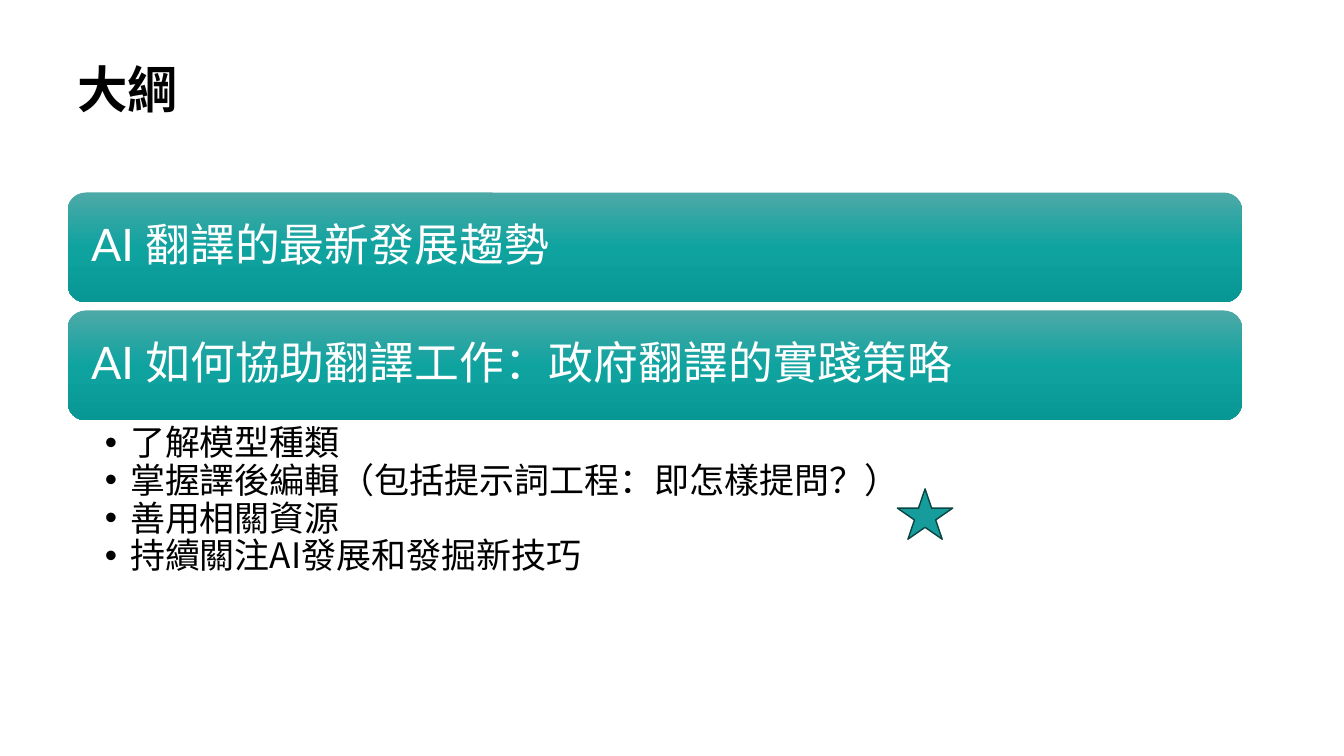
from copy import deepcopy

from lxml import etree
from pptx import Presentation
from pptx.dml.color import RGBColor
from pptx.enum.shapes import MSO_SHAPE
from pptx.enum.text import MSO_ANCHOR, PP_ALIGN
from pptx.oxml.ns import qn
from pptx.util import Inches, Pt

ROUNDED, STAR = MSO_SHAPE.ROUNDED_RECTANGLE, MSO_SHAPE.STAR_5_POINT
MIDDLE, LEFT = MSO_ANCHOR.MIDDLE, PP_ALIGN.LEFT
CJK_FONT, LATIN_FONT = "Noto Sans CJK TC", "Lato"
BAR_GRADIENT = [(0, "4DA9A7"), (0.5, "0FA3A0"), (1, "089794")]

MARGIN, CONTENT_WIDTH = Inches(0.67), Inches(11.65)
BAR_TOP, BAR_HEIGHT, BAR_PITCH = Inches(1.91), Inches(1.09), Inches(1.17)
HANGING = Inches(0.25)

SECTIONS = ["AI 翻譯的最新發展趨勢", "AI 如何協助翻譯工作：政府翻譯的實踐策略"]
STRATEGIES = [
    "了解模型種類",
    "掌握譯後編輯（包括提示詞工程：即怎樣提問？）",
    "善用相關資源",
    "持續關注AI發展和發掘新技巧",
]


def rgb(value):
    return RGBColor.from_string(value)


def style(paragraph, size, color, latin=CJK_FONT, bold=False):
    """Format every run, with the CJK font for East Asian text."""
    paragraph.alignment = LEFT
    paragraph.line_spacing = 0.9
    for run in paragraph.runs:
        run.font.size = Pt(size)
        run.font.bold = bold
        run.font.color.rgb = rgb(color)
        run.font.name = latin
        east_asian = etree.SubElement(run.font._element, qn("a:ea"))
        east_asian.set("typeface", CJK_FONT)


prs = Presentation()
prs.slide_width, prs.slide_height = Inches(13.33), Inches(7.5)
slide = prs.slides.add_slide(prs.slide_layouts[6])
shapes = slide.shapes

# Heading
heading = shapes.add_textbox(MARGIN, Inches(0.6), CONTENT_WIDTH, Inches(1.24)).text_frame
heading.word_wrap = True
heading.text = "大綱"
style(heading.paragraphs[0], 36, "000000", bold=True)

# Section bars
for row, section in enumerate(SECTIONS):
    bar = shapes.add_shape(ROUNDED, MARGIN, BAR_TOP + row * BAR_PITCH, CONTENT_WIDTH, BAR_HEIGHT)
    bar.shadow.inherit = False
    bar.line.fill.background()
    bar.fill.gradient()
    bar.fill.gradient_angle = 270
    first_stop = bar.fill.gradient_stops[0]._gs
    first_stop.addnext(deepcopy(first_stop))
    for stop, (position, color) in zip(bar.fill.gradient_stops, BAR_GRADIENT):
        stop.position = position
        stop.color.rgb = rgb(color)
    label = bar.text_frame
    label.word_wrap = True
    label.vertical_anchor = MIDDLE
    label.margin_left = label.margin_right = Inches(0.18)
    label.text = section
    style(label.paragraphs[0], 32, "FFFFFF", latin=LATIN_FONT)

# Strategies under the second section
strategies = shapes.add_textbox(MARGIN, Inches(4.18), CONTENT_WIDTH, Inches(2.68)).text_frame
strategies.word_wrap = True
strategies.margin_left, strategies.margin_right = Inches(0.37), Inches(0.25)
strategies.margin_top = strategies.margin_bottom = Inches(0.04)
strategies.text = "\n".join(STRATEGIES)
for item in strategies.paragraphs:
    properties = item._p.get_or_add_pPr()
    properties.set("marL", str(HANGING))
    properties.set("indent", str(-HANGING))
    etree.SubElement(properties, qn("a:buFont")).set("typeface", "Arial")
    etree.SubElement(properties, qn("a:buChar")).set("char", "•")
    style(item, 25, "000000")

# Star beside the key strategy
star = shapes.add_shape(STAR, Inches(8.9), Inches(4.85), Inches(0.55), Inches(0.5))
star.shadow.inherit = False
star.fill.solid()
star.fill.fore_color.rgb = rgb("169C9A")
star.line.color.rgb = rgb("0A4443")
star.line.width = Pt(1)

prs.save("out.pptx")
